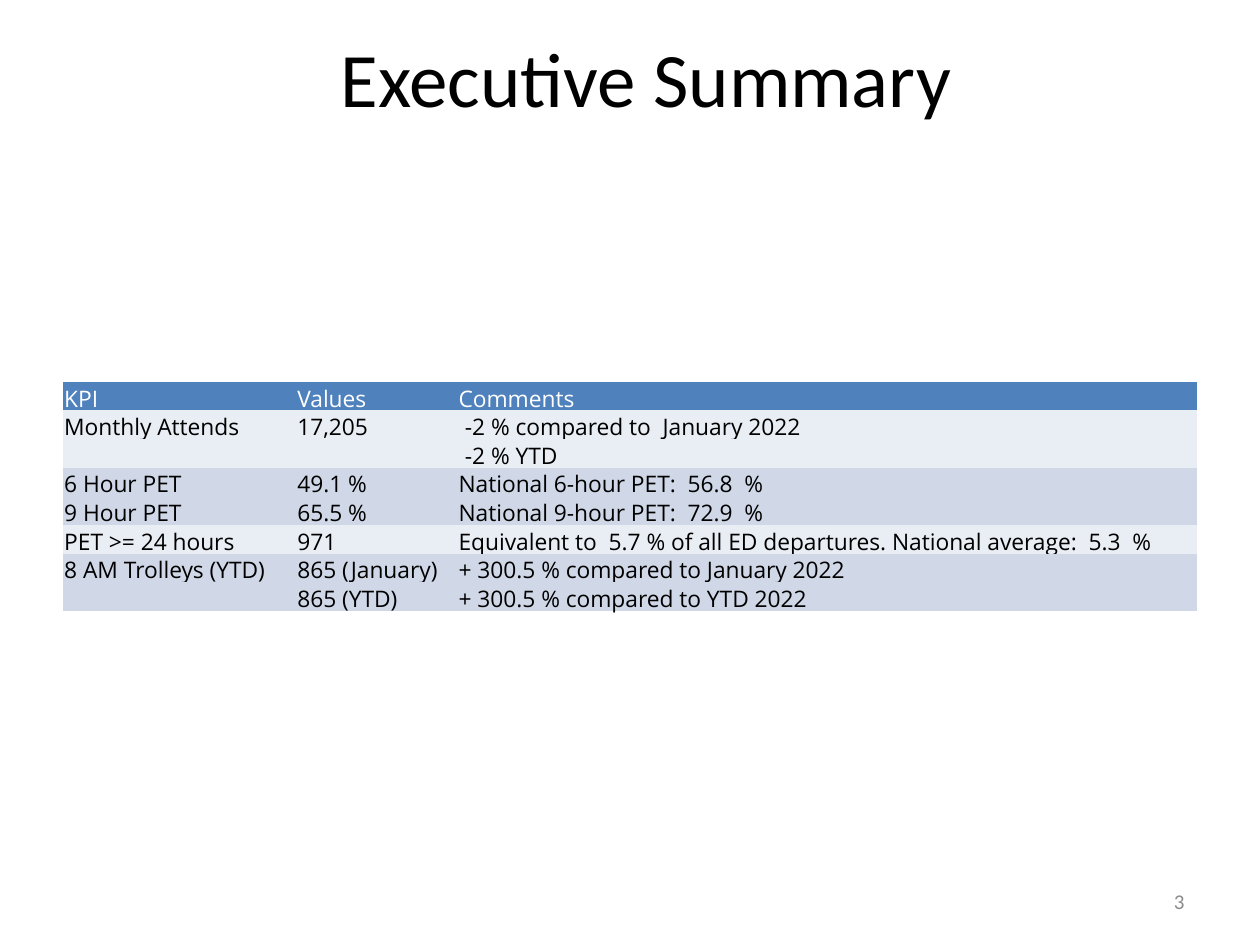
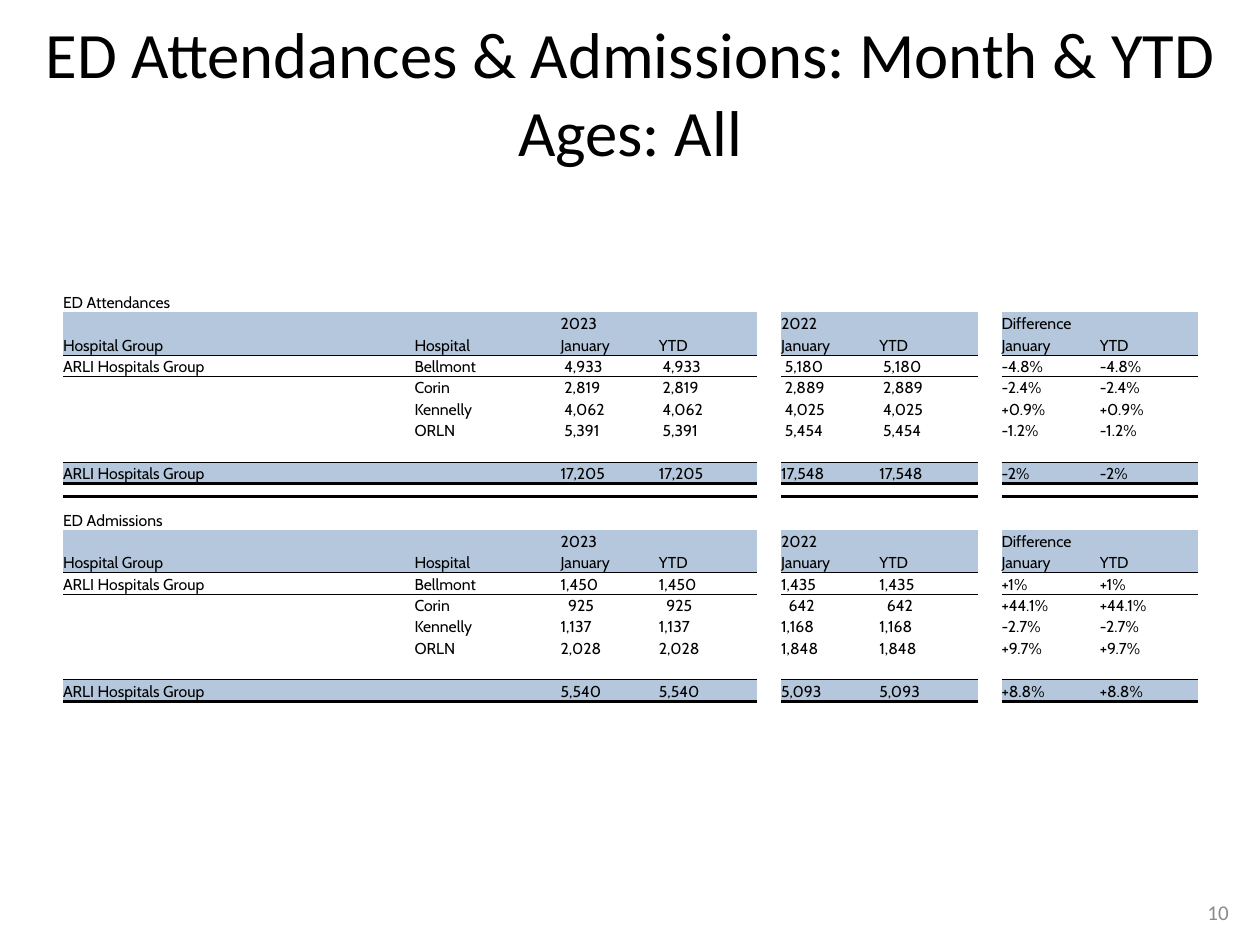
from pptx import Presentation
from pptx.dml.color import RGBColor as Rgb
from pptx.enum.text import MSO_ANCHOR as Anchor, PP_ALIGN as Align
from pptx.oxml.ns import qn
from pptx.util import Inches, Pt
from lxml.etree import Element, SubElement

COLORS = {
    "text": "000000", "number": "8B8B8B", "white": "FFFFFF",
    "header": "4F81BD", "light": "E9EDF4", "dark": "D0D8E7", "band": "B4C7DC",
}
NO_STYLE_NO_GRID = "{2D5ABB26-0587-4C30-8999-92F81FD0307C}"


class Deck:
    """Holds the shared style and the current slide."""

    heading_font = "Calibri"

    def __init__(self):
        self.presentation = Presentation()
        self.presentation.slide_width = Inches(10)
        self.presentation.slide_height = Inches(7.5)
        self.slide = None

    def new_slide(self):
        self.slide = self.presentation.slides.add_slide(self.presentation.slide_layouts[6])

    def format_runs(self, paragraph, font, size, color):
        for run in paragraph.runs:
            run.font.name = font
            run.font.size = Pt(size)
            run.font.color.rgb = Rgb.from_string(COLORS[color])

    def text(self, text, box, size, color, align):
        shape = self.slide.shapes.add_textbox(*map(Inches, box))
        frame = shape.text_frame
        frame.word_wrap = True
        frame.vertical_anchor = Anchor.MIDDLE
        frame.text = text
        for paragraph in frame.paragraphs:
            paragraph.alignment = align
            self.format_runs(paragraph, self.heading_font, size, color)

    def title(self, text, box, size):
        self.text(text, box, size, "text", Align.CENTER)

    def page_number(self, number, left, top):
        self.text(str(number), (left, top, 2.33, 0.4), 12, "number", Align.RIGHT)

    def table(self, rows, left, top, widths, heights):
        """Add an unstyled table and return it with its cells filled with text."""
        shape = self.slide.shapes.add_table(
            len(rows), len(widths), Inches(left), Inches(top),
            Inches(sum(widths)), Inches(sum(heights)))
        shape._element.find(".//" + qn("a:tableStyleId")).text = NO_STYLE_NO_GRID
        table = shape.table
        table.first_row = table.horz_banding = False
        for column, width in zip(table.columns, widths):
            column.width = Inches(width)
        for row, height in zip(table.rows, heights):
            row.height = Inches(height)
        return table

    def cell(self, cell, text, font, size, color, fill, inset=0, indent=0):
        cell.vertical_anchor = Anchor.BOTTOM
        cell.margin_left = Inches(inset + indent)
        cell.margin_right = cell.margin_top = Inches(inset)
        cell.margin_bottom = 0
        cell.text = text
        paragraph = cell.text_frame.paragraphs[0]
        self.format_runs(paragraph, font, size, color)
        if not text:  # keeps an empty row at its height
            SubElement(paragraph._p, qn("a:endParaRPr"), sz=str(size * 100))
        if fill:
            cell.fill.solid()
            cell.fill.fore_color.rgb = Rgb.from_string(COLORS[fill])
        else:
            cell.fill.background()

    def border(self, cell, side, width):
        line = Element(qn("a:ln" + side), w=str(Pt(width)))
        fill = SubElement(line, qn("a:solidFill"))
        SubElement(fill, qn("a:srgbClr"), val=COLORS["text"])
        properties = cell._tc.get_or_add_tcPr()
        properties.insert(len(properties.findall(qn("a:lnT"))), line)


# Executive summary: row fill, then KPI, value and comment
SUMMARY = [
    ("header", "KPI", "Values", "Comments"),
    ("light", "Monthly Attends", "17,205", "-2 % compared to  January 2022"),
    ("light", "", "", "-2 % YTD"),
    ("dark", "6 Hour PET", "49.1 %", "National 6-hour PET:  56.8  %"),
    ("dark", "9 Hour PET", "65.5 %", "National 9-hour PET:  72.9  %"),
    ("light", "PET >= 24 hours", "971",
     "Equivalent to  5.7 % of all ED departures. National average:  5.3  %"),
    ("dark", "8 AM Trolleys (YTD)", "865 (January)", "+ 300.5 % compared to January 2022"),
    ("dark", "", "865 (YTD)", "+ 300.5 % compared to YTD 2022"),
]

# Hospital figures: 2023, 2022 and difference; month and YTD are equal in January
GROUP = "ARLI Hospitals Group"
HOSPITALS = ["Bellmont", "Corin", "Kennelly", "ORLN"]
ATTENDANCES = [
    ("4,933", "5,180", "-4.8%"), ("2,819", "2,889", "-2.4%"),
    ("4,062", "4,025", "+0.9%"), ("5,391", "5,454", "-1.2%"),
    ("17,205", "17,548", "-2%"),
]
ADMISSIONS = [
    ("1,450", "1,435", "+1%"), ("925", "642", "+44.1%"),
    ("1,137", "1,168", "-2.7%"), ("2,028", "1,848", "+9.7%"),
    ("5,540", "5,093", "+8.8%"),
]
GAP_COLUMNS = (4, 7)
DIGIT_INDENT = 0.03


def spread(group, hospital, pairs):
    """Lay three month/YTD pairs out over the ten columns."""
    first, second, third = pairs
    return [group, hospital, *first, "", *second, "", *third]


def hospital_block(name, figures):
    """Rows of one block as (texts, fill, line width below)."""
    *details, total = [[(value, value) for value in row] for row in figures]
    empty = [""] * 10
    rows = [
        ([name] + empty[1:], None, 0),
        (spread("", "", [("2023", ""), ("2022", ""), ("Difference", "")]), "band", 0),
        (spread("Hospital Group", "Hospital", [("January", "YTD")] * 3), "band", 0.5),
    ]
    for index, (hospital, pairs) in enumerate(zip(HOSPITALS, details)):
        rows.append((spread("" if index else GROUP, hospital, pairs), None, 0))
    return rows + [(empty, None, 0.5), (spread(GROUP, "", total), "band", 2)]


def build_summary(deck):
    deck.new_slide()
    deck.title("Executive Summary", (0.63, 0.13, 9, 0.95), 44)
    deck.page_number(3, 7.17, 6.95)
    table = deck.table(SUMMARY, 0.5, 3.03, [1.85, 1.28, 5.87], [0.22] * len(SUMMARY))
    for row, (fill, *texts) in enumerate(SUMMARY):
        color = "white" if fill == "header" else "text"
        for column, text in enumerate(texts):
            indent = 0.05 if text.startswith("-") else 0
            deck.cell(table.cell(row, column), text, "Open Sans", 13, color, fill, 0.01, indent)


def build_hospitals(deck):
    deck.new_slide()
    deck.title("ED Attendances & Admissions: Month & YTD\vAges: All", (0, 0, 10, 1.46), 37)
    deck.page_number(10, 7.52, 7.04)

    # Two blocks with two low spacer rows between them
    spacer = ([""] * 10, None, 0)
    rows = [*hospital_block("ED Attendances", ATTENDANCES), spacer, spacer,
            *hospital_block("ED Admissions", ADMISSIONS)]
    heights = [0.1 if row is spacer else 0.17 for row in rows]
    pair = [0.78, 0.78]
    widths = [2.79, 1.16, *pair, 0.19, *pair, 0.19, *pair]
    table = deck.table(rows, 0.5, 2.31, widths, heights)

    # Counts line up with the widest total of their block
    indents = {}
    for figures in (ATTENDANCES, ADMISSIONS):
        for row in figures:
            for value in row[:2]:
                indents[value] = DIGIT_INDENT * (len(figures[-1][0]) - len(value))

    line_above = 0
    for row, (texts, fill, line_below) in enumerate(rows):
        size = 5 if rows[row] is spacer else 9
        for column, text in enumerate(texts):
            cell = table.cell(row, column)
            is_gap = column in GAP_COLUMNS
            deck.cell(cell, text, "Cabin", size, "text", None if is_gap else fill,
                      indent=indents.get(text, 0))
            for side, width in (("T", line_above), ("B", line_below)):
                if width and not is_gap:
                    deck.border(cell, side, width)
        line_above = line_below


def main():
    deck = Deck()
    build_summary(deck)
    build_hospitals(deck)
    deck.presentation.save("out.pptx")


if __name__ == "__main__":
    main()
